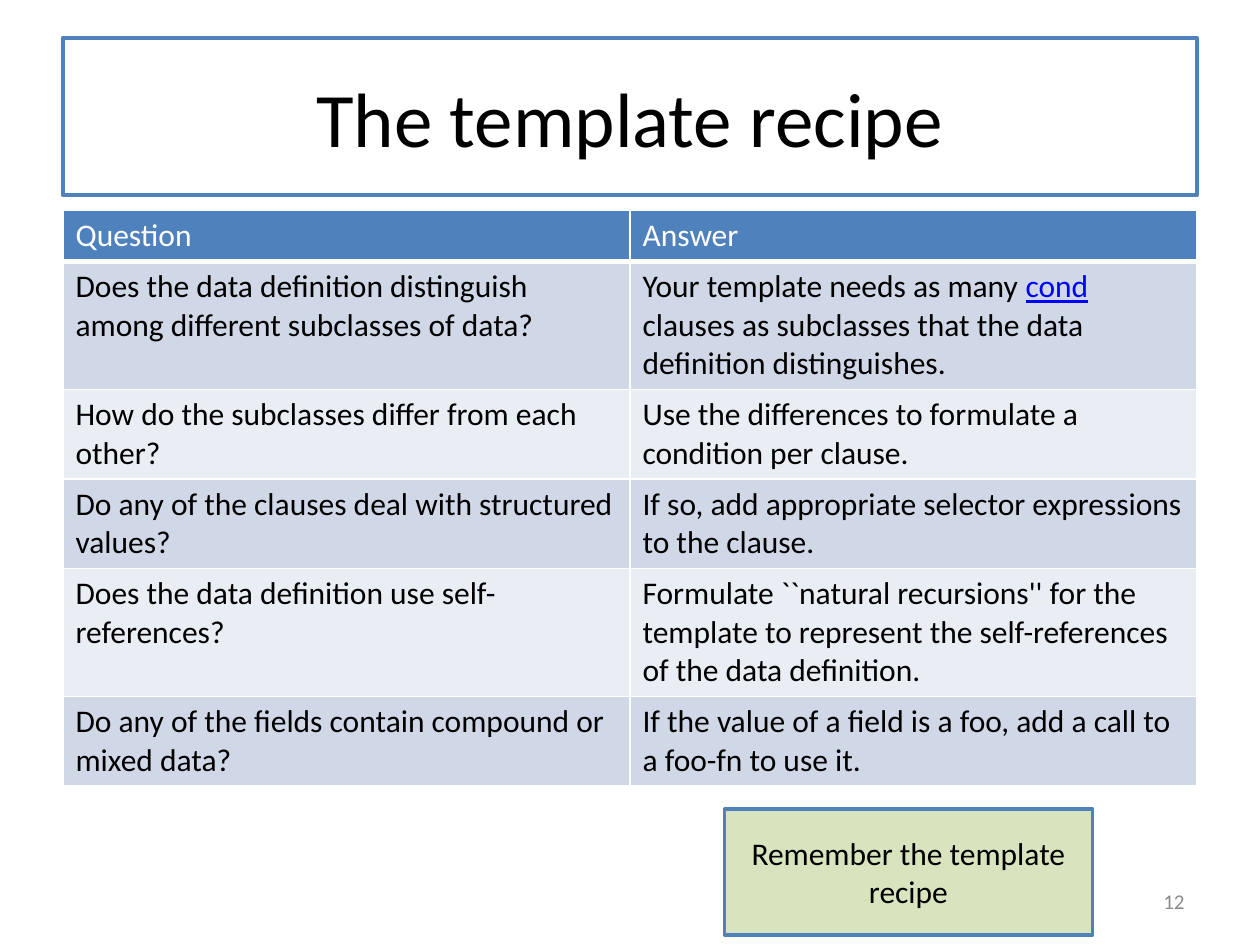
from dataclasses import dataclass

from lxml import etree
from pptx import Presentation
from pptx.dml.color import RGBColor
from pptx.enum.shapes import MSO_SHAPE
from pptx.enum.text import MSO_ANCHOR, PP_ALIGN
from pptx.oxml.ns import qn
from pptx.util import Inches, Pt

RECTANGLE = MSO_SHAPE.RECTANGLE
MIDDLE = MSO_ANCHOR.MIDDLE
LEFT, CENTER, RIGHT = PP_ALIGN.LEFT, PP_ALIGN.CENTER, PP_ALIGN.RIGHT
BLANK_LAYOUT = 6


@dataclass(frozen=True)
class Theme:
    font: str = "Calibri"
    text: str = "000000"
    inverse: str = "FFFFFF"
    muted: str = "8C8C8C"
    link: str = "0000FF"
    accent: str = "4F81BD"
    bands: tuple = ("D0D8E8", "E9EDF4")
    note: str = "D7E4BD"
    title_size: int = 44
    body_size: int = 18
    number_size: int = 12


THEME = Theme()
WIDTH, HEIGHT = 10, 7.5
MARGIN = 0.05 * WIDTH
CONTENT_WIDTH = WIDTH - 2 * MARGIN
LINE_HEIGHT, CELL_PADDING = 0.305, 0.1

HEADER = ("Question", "Answer")
RECIPE = [
    (3, "Does the data definition distinguish among different subclasses of data?",
     [("Your template needs as many ", False), ("cond", True),
      (" clauses as subclasses that the data definition distinguishes.", False)]),
    (2, "How do the subclasses differ from each other?",
     "Use the differences to formulate a condition per clause."),
    (2, "Do any of the clauses deal with structured values?",
     "If so, add appropriate selector expressions to the clause."),
    (3, "Does the data definition use self-references?",
     "Formulate ``natural recursions'' for the template to represent "
     "the self-references of the data definition."),
    (2, "Do any of the fields contain compound or mixed data?",
     "If the value of a field is a foo, add a call to a foo-fn to use it."),
]


def rgb(color):
    return RGBColor.from_string(color)


def write(frame, content, size, color, alignment=LEFT):
    frame.word_wrap = True
    paragraph = frame.paragraphs[0]
    paragraph.alignment = alignment
    runs = [(content, False)] if isinstance(content, str) else content
    for text, linked in runs:
        run = paragraph.add_run()
        run.text = text
        run.font.name = THEME.font
        run.font.size = Pt(size)
        run.font.color.rgb = rgb(THEME.link if linked else color)
        if linked:
            run.font.underline = True


def add_box(slide, place, text, size, fill, line_width):
    shape = slide.shapes.add_shape(RECTANGLE, *map(Inches, place))
    shape.shadow.inherit = False
    shape.fill.solid()
    shape.fill.fore_color.rgb = rgb(fill)
    shape.line.color.rgb = rgb(THEME.accent)
    shape.line.width = Pt(line_width)
    shape.text_frame.vertical_anchor = MIDDLE
    write(shape.text_frame, text, size, THEME.text, CENTER)


def add_page_number(slide, place, text):
    shape = slide.shapes.add_textbox(*map(Inches, place))
    shape.text_frame.vertical_anchor = MIDDLE
    write(shape.text_frame, text, THEME.number_size, THEME.muted, RIGHT)


def set_borders(cell, bottom_width):
    properties = cell._tc.get_or_add_tcPr()
    widths = {"a:lnL": 1, "a:lnR": 1, "a:lnT": 1, "a:lnB": bottom_width}
    for position, (tag, width) in enumerate(widths.items()):
        line = etree.Element(qn(tag), w=str(Pt(width)))
        fill = etree.SubElement(line, qn("a:solidFill"))
        etree.SubElement(fill, qn("a:srgbClr"), val=THEME.inverse)
        properties.insert(position, line)


def fill_cell(cell, content, fill, color, bottom_width=1):
    cell.fill.solid()
    cell.fill.fore_color.rgb = rgb(fill)
    set_borders(cell, bottom_width)
    write(cell.text_frame, content, THEME.body_size, color)


def add_recipe_table(slide, top):
    line_counts = [1] + [row[0] for row in RECIPE]
    heights = [CELL_PADDING + LINE_HEIGHT * count for count in line_counts]
    frame = slide.shapes.add_table(
        len(heights), len(HEADER), Inches(MARGIN), Inches(top),
        Inches(CONTENT_WIDTH), Inches(sum(heights)))
    table = frame.table
    table.first_row = False
    table.horz_banding = False
    for row, height in zip(table.rows, heights):
        row.height = Inches(height)
    for column, heading in enumerate(HEADER):
        fill_cell(table.cell(0, column), heading, THEME.accent, THEME.inverse, 3)
    for index, (_, *contents) in enumerate(RECIPE):
        band = THEME.bands[index % len(THEME.bands)]
        for column, content in enumerate(contents):
            fill_cell(table.cell(index + 1, column), content, band, THEME.text)


def main():
    presentation = Presentation()
    presentation.slide_width = Inches(WIDTH)
    presentation.slide_height = Inches(HEIGHT)
    slide = presentation.slides.add_slide(presentation.slide_layouts[BLANK_LAYOUT])

    add_box(slide, (MARGIN, 0.04 * HEIGHT, CONTENT_WIDTH, HEIGHT / 6),
            "The template recipe", THEME.title_size, THEME.inverse, 2.25)
    add_recipe_table(slide, 1.67)
    number_width = 2.33
    add_page_number(slide, (WIDTH - MARGIN - number_width, 6.95, number_width, 0.4), "12")
    add_box(slide, (5.75, 6.42, 2.92, 1), "Remember the template recipe",
            THEME.body_size, THEME.note, 2)

    presentation.save("out.pptx")


if __name__ == "__main__":
    main()
